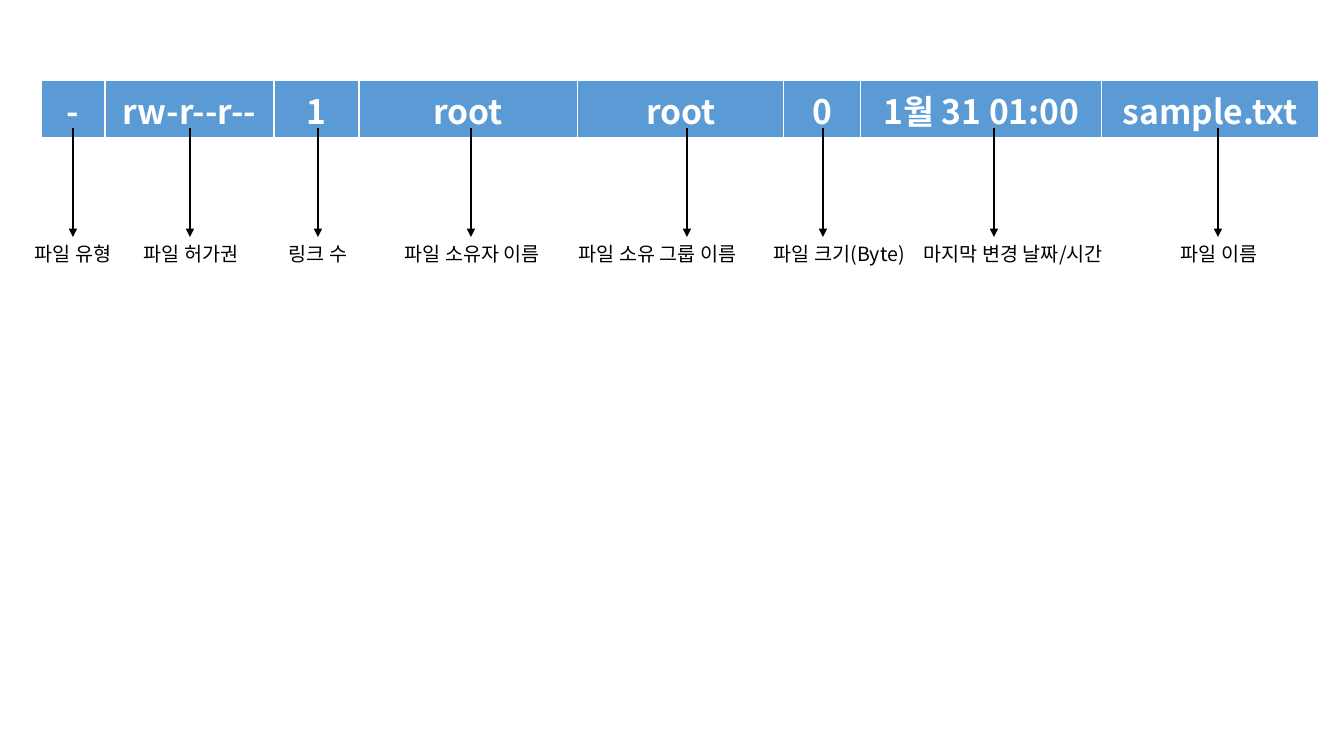
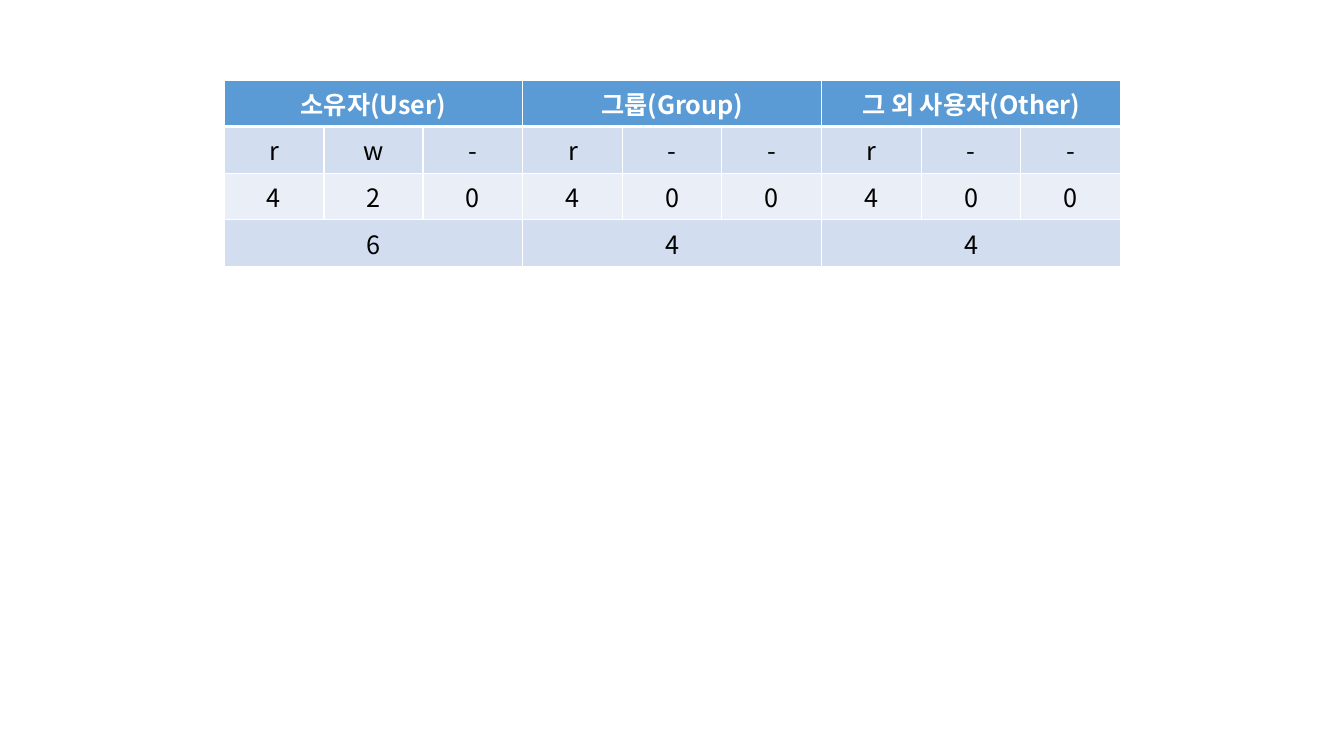
"""Build two slides on file listings: the fields of a long listing and the permission values."""
from dataclasses import dataclass

from lxml.etree import SubElement
from pptx import Presentation
from pptx.dml.color import RGBColor as Color
from pptx.enum.shapes import MSO_CONNECTOR as Connector
from pptx.enum.text import MSO_AUTO_SIZE as AutoSize, PP_ALIGN as Align
from pptx.oxml.ns import qn
from pptx.util import Emu, Pt


@dataclass(frozen=True)
class Theme:
    font: str = "Noto Sans CJK KR"
    header: str = "5B9BD5"
    band_dark: str = "D2DEEF"
    band_light: str = "EAEFF7"
    white: str = "FFFFFF"
    black: str = "000000"
    field_size: int = 24
    table_size: int = 18
    label_size: int = 14
    rule: float = 1
    header_rule: float = 3
    arrow: float = 1.5


THEME = Theme()
SCALE = 914400 / 100.8


def px(*lengths):
    return [Emu(round(length * SCALE)) for length in lengths]


def write(frame, text, size, color, bold=False, align=Align.LEFT):
    para = frame.paragraphs[0]
    para.text = text
    para.alignment = align
    para.font.size, para.font.bold, para.font.name = Pt(size), bold, THEME.font
    para.font.color.rgb = Color.from_string(color)
    defaults = para._p.pPr.find(qn("a:defRPr"))
    SubElement(defaults, qn("a:ea"), typeface=THEME.font)


deck = Presentation()
deck.slide_width, deck.slide_height = px(1344, 756)
blank = deck.slide_layouts[6]

fields = [
    ("-", 64, 73, "파일 유형", 25, 107),
    ("rw-r--r--", 169, 190, "파일 허가권", 134, 126),
    ("1", 85, 318, "링크 수", 279, 87),
    ("root", 219, 471, "파일 소유자 이름", 395, 172),
    ("root", 206, 687, "파일 소유 그룹 이름", 569, 200),
    ("0", 77, 823, "파일 크기(Byte)", 764, 157),
    ("1월 31 01:00", 241, 994, "마지막 변경 날짜/시간", 914, 220),
    ("sample.txt", 217, 1218, "파일 이름", 1171, 107),
]
classes = ["소유자(User)", "그룹(Group)", "그 외 사용자(Other)"]
permissions = ["rw-", "r--", "r--"]
bits = {"r": 4, "w": 2, "-": 0}
flags = "".join(permissions)
totals = [sum(bits[flag] for flag in group) for group in permissions]

table_specs = [
    (41, [field[1] for field in fields], THEME.field_size, 1,
     [[field[0] for field in fields]]),
    (224, [100, 99, 100] * 3, THEME.table_size, 3,
     [classes, flags, [bits[flag] for flag in flags], totals]),
]
row_fills = [THEME.header, THEME.band_dark, THEME.band_light, THEME.band_dark]
pages = []

for left, widths, size, group_size, rows in table_specs:
    page = deck.slides.add_slide(blank)
    pages.append(page)
    box = page.shapes.add_table(len(rows), len(widths), *px(left, 80, sum(widths), 41 * len(rows)))
    table = box.table
    for column, width in zip(table.columns, widths):
        column.width = px(width)[0]
    for row_index, (values, fill) in enumerate(zip(rows, row_fills)):
        is_header = row_index == 0
        for cell in table.rows[row_index].cells:
            properties = cell._tc.get_or_add_tcPr()
            for side in "LRTB":
                weight = THEME.header_rule if is_header and side == "B" else THEME.rule
                border = SubElement(properties, qn(f"a:ln{side}"), w=str(Pt(weight)))
                SubElement(SubElement(border, qn("a:solidFill")), qn("a:srgbClr"), val=THEME.white)
            cell.fill.solid()
            cell.fill.fore_color.rgb = Color.from_string(fill)
        span = group_size if len(values) < len(widths) else 1
        for index, value in enumerate(values):
            cell = table.cell(row_index, index * span)
            if span > 1:
                cell.merge(table.cell(row_index, index * span + span - 1))
            color = THEME.white if is_header else THEME.black
            write(cell.text_frame, str(value), size, color, is_header, Align.CENTER)

for _, _, center, label, left, width in fields:
    arrow = pages[0].shapes.add_connector(Connector.STRAIGHT, *px(center, 128, center, 237))
    arrow.line.width = Pt(THEME.arrow)
    arrow.line.color.rgb = Color.from_string(THEME.black)
    SubElement(arrow.line._get_or_add_ln(), qn("a:tailEnd"), type="triangle")
    SubElement(arrow._element.spPr, qn("a:effectLst"))
    box = pages[0].shapes.add_textbox(*px(left, 237, width, 34))
    box.text_frame.word_wrap = False
    box.text_frame.auto_size = AutoSize.SHAPE_TO_FIT_TEXT
    write(box.text_frame, label, THEME.label_size, THEME.black)

deck.save("out.pptx")
